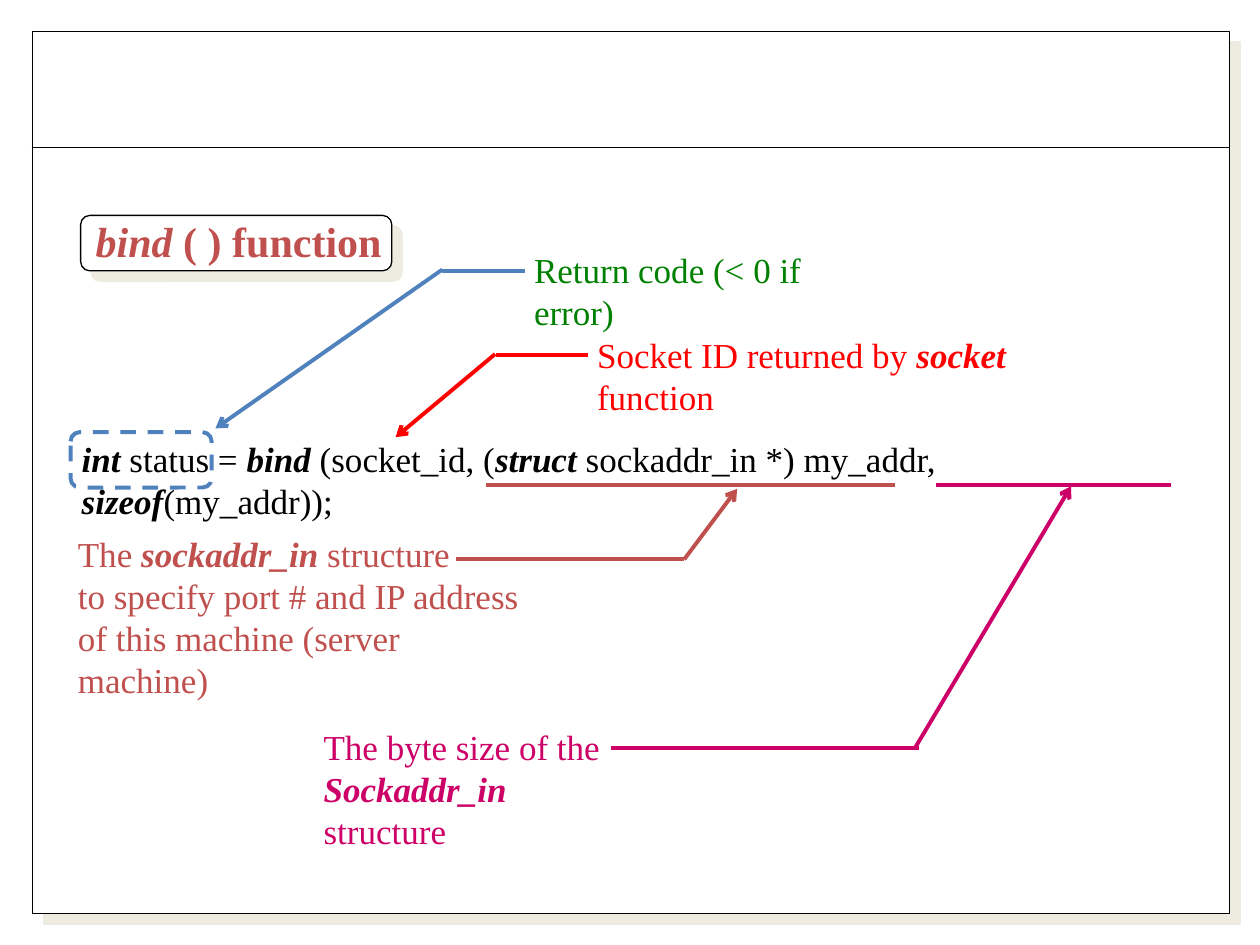
from dataclasses import dataclass

from pptx import Presentation
from pptx.dml.color import RGBColor
from pptx.enum import dml, shapes, text
from pptx.oxml import parse_xml
from pptx.oxml.ns import nsdecls
from pptx.util import Inches, Pt

BLACK = RGBColor(0x00, 0x00, 0x00)
WHITE = RGBColor(0xFF, 0xFF, 0xFF)
CREAM = RGBColor(0xEE, 0xEC, 0xE1)
BRICK = RGBColor(0xC0, 0x50, 0x4D)
MAGENTA = RGBColor(0xCC, 0x00, 0x66)
BLUE = RGBColor(0x4F, 0x81, 0xBD)
GREEN = RGBColor(0x00, 0x80, 0x00)
RED = RGBColor(0xFF, 0x00, 0x00)

Point = tuple[float, float]
Span = tuple[str, bool]  # wording, bold italic or not


@dataclass
class Note:
    left: float
    top: float
    width: float
    height: float
    color: RGBColor
    paragraphs: list[list[Span]]


@dataclass
class Stroke:
    start: Point
    end: Point
    color: RGBColor
    arrow: bool = False
    weight: float = 2.25


NOTES = [
    Note(0.55, 3.42, 8.95, 0.77, BLACK, [[
        ("int", True), (" status = ", False), ("bind", True),
        (" (socket_id, (", False), ("struct", True),
        (" sockaddr_in *) my_addr, ", False), ("sizeof", True),
        ("(my_addr));", False)]]),
    Note(0.52, 4.18, 3.8, 1.43, BRICK, [
        [("The ", False), ("sockaddr_in", True), (" structure", False)],
        [("to specify port # and IP address", False)],
        [("of this machine (server machine)", False)]]),
    Note(2.47, 5.71, 2.64, 1.1, MAGENTA, [
        [("The byte size of the", False)],
        [("Sockaddr_in", True), (" structure", False)]]),
    Note(4.14, 1.92, 2.95, 0.77, GREEN, [
        [("Return code (< 0 if error)", False)]]),
    Note(4.64, 2.6, 4.38, 0.77, RED, [
        [("Socket ID returned by ", False), ("socket", True),
         (" function", False)]]),
]

STROKES = [
    Stroke((0.25, 1.17), (9.75, 1.17), BLACK, weight=0.75),
    Stroke((3.86, 3.85), (7.1, 3.85), BRICK),
    Stroke((3.62, 4.44), (5.43, 4.44), BRICK),
    Stroke((5.43, 4.44), (5.85, 3.88), BRICK, arrow=True),
    Stroke((7.43, 3.85), (9.29, 3.85), MAGENTA),
    Stroke((4.85, 5.94), (7.29, 5.94), MAGENTA),
    Stroke((7.26, 5.94), (8.5, 3.86), MAGENTA, arrow=True),
    Stroke((4.17, 2.15), (3.51, 2.15), BLUE),
    Stroke((3.51, 2.14), (1.71, 3.4), BLUE, arrow=True),
    Stroke((3.94, 2.82), (4.67, 2.82), RED),
    Stroke((3.93, 2.81), (3.14, 3.47), RED, arrow=True),
]


def add_panel(slide, kind, left: float, top: float, width: float, height: float):
    """Add a white, thinly outlined panel with a hard offset shadow."""
    panel = slide.shapes.add_shape(
        kind, Inches(left), Inches(top), Inches(width), Inches(height))
    panel.fill.solid()
    panel.fill.fore_color.rgb = WHITE
    panel.line.color.rgb = BLACK
    panel.line.width = Pt(0.75)
    panel._element.spPr.append(parse_xml(
        f'<a:effectLst {nsdecls("a")}>'
        f'<a:outerShdw dist="{Pt(8.5)}" dir="2700000" algn="ctr" rotWithShape="0">'
        f'<a:srgbClr val="{CREAM}"/></a:outerShdw></a:effectLst>'))
    return panel


def add_stroke(slide, stroke: Stroke) -> None:
    ends = [Inches(value) for value in (*stroke.start, *stroke.end)]
    line = slide.shapes.add_connector(shapes.MSO_CONNECTOR.STRAIGHT, *ends)
    line.line.color.rgb = stroke.color
    line.line.width = Pt(stroke.weight)
    if stroke.arrow:
        line.line._get_or_add_ln().append(
            parse_xml(f'<a:tailEnd {nsdecls("a")} type="arrow"/>'))
    line._element.spPr.append(parse_xml(f'<a:effectLst {nsdecls("a")}/>'))


def add_spans(para, spans: list[Span], size: float, color: RGBColor) -> None:
    for wording, emphasized in spans:
        span = para.add_run()
        span.text = wording
        span.font.name = "Times New Roman"
        span.font.size = Pt(size)
        span.font.color.rgb = color
        span.font.bold = span.font.italic = emphasized


def add_note(slide, note: Note) -> None:
    box = slide.shapes.add_textbox(
        Inches(note.left), Inches(note.top), Inches(note.width), Inches(note.height))
    frame = box.text_frame
    frame.word_wrap = True
    for index, spans in enumerate(note.paragraphs):
        para = frame.add_paragraph() if index else frame.paragraphs[0]
        add_spans(para, spans, 20, note.color)


def place_title(slide) -> None:
    title = slide.shapes.title
    title.left, title.top = Inches(0.66), Inches(1.66)
    title.width, title.height = Inches(2.47), Inches(0.5)
    frame = title.text_frame
    frame.word_wrap = False
    frame.auto_size = text.MSO_AUTO_SIZE.NONE
    frame.vertical_anchor = text.MSO_ANCHOR.TOP
    para = frame.paragraphs[0]
    para.alignment = text.PP_ALIGN.LEFT
    add_spans(para, [("bind", True), (" ( ) function", False)], 24, BRICK)
    for span in para.runs:
        span.font.bold = True
    slide.shapes._spTree.append(title._element)  # bring in front of its panel


def add_status_frame(slide) -> None:
    frame = slide.shapes.add_shape(
        shapes.MSO_SHAPE.ROUNDED_RECTANGLE,
        Inches(0.56), Inches(3.43), Inches(1.12), Inches(0.44))
    frame.shadow.inherit = False
    frame.fill.background()
    frame.line.color.rgb = BLUE
    frame.line.width = Pt(2.25)
    frame.line.dash_style = dml.MSO_LINE.DASH


def main() -> None:
    deck = Presentation()
    deck.slide_width, deck.slide_height = Inches(10), Inches(7.5)
    slide = deck.slides.add_slide(deck.slide_layouts[5])
    add_panel(slide, shapes.MSO_SHAPE.RECTANGLE, 0.26, 0.25, 9.5, 7)
    add_panel(slide, shapes.MSO_SHAPE.ROUNDED_RECTANGLE, 0.64, 1.71, 2.47, 0.44)
    place_title(slide)
    for note in NOTES:
        add_note(slide, note)
    for stroke in STROKES:
        add_stroke(slide, stroke)
    add_status_frame(slide)
    deck.save("out.pptx")


if __name__ == "__main__":
    main()
